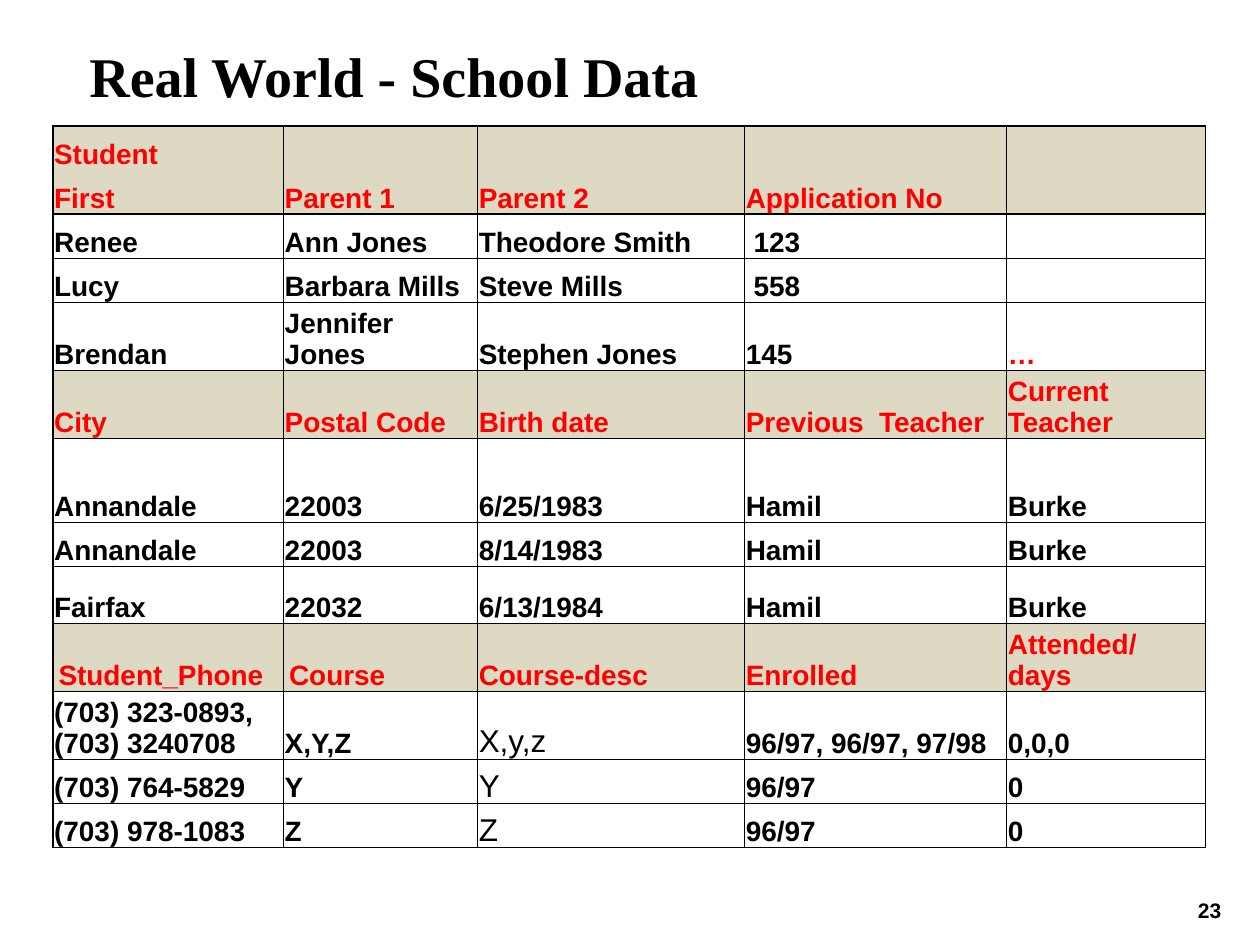
import pptx
import pptx.util
import pptx.dml.color
import pptx.enum.text
import pptx.oxml.ns
from lxml import etree

Inches, Pt = pptx.util.Inches, pptx.util.Pt
ANCHOR = pptx.enum.text.MSO_ANCHOR
BLACK, RED, TAN = "000000", "FF0000", "DDD9C3"

COL_WIDTHS = [1.83, 1.54, 2.12, 2.08, 1.58]
ROW_HEIGHTS = [0.35, 0.35, 0.35, 0.35, 0.54, 0.54, 0.67,
               0.35, 0.45, 0.54, 0.54, 0.35, 0.35]
HEADER_ROWS = {0, 1, 5, 9}
SCHOOL_DATA = [
    ["Student", "", "", "", ""],
    ["First", "Parent 1", "Parent 2", "Application No", ""],
    ["Renee", "Ann Jones", "Theodore Smith", " 123", ""],
    ["Lucy", "Barbara Mills", "Steve Mills", " 558", ""],
    ["Brendan", "Jennifer Jones", "Stephen Jones", "145", "…"],
    ["City", "Postal Code", "Birth date", "Previous  Teacher", "Current\nTeacher"],
    ["Annandale", "22003", "6/25/1983", "Hamil", "Burke"],
    ["Annandale", "22003", "8/14/1983", "Hamil", "Burke"],
    ["Fairfax", "22032", "6/13/1984", "Hamil", "Burke"],
    [" Student_Phone", " Course", "Course-desc", "Enrolled", "Attended/ days"],
    ["(703) 323-0893, (703) 3240708", "X,Y,Z", "X,y,z", "96/97, 96/97, 97/98", "0,0,0"],
    ["(703) 764-5829", "Y", "Y", "96/97", "0"],
    ["(703) 978-1083", "Z", "Z", "96/97", "0"],
]


def color(value):
    return pptx.dml.color.RGBColor.from_string(value)


def add_run(p, text, size, font="Arial", fill=BLACK, bold=True):
    r = p.add_run()
    r.text = text
    r.font.size, r.font.name, r.font.bold = Pt(size), font, bold
    r.font.color.rgb = color(fill)


def set_border(cell, side, width):
    """Draw one side of a cell; a width of 0 leaves it without a line."""
    qn = pptx.oxml.ns.qn
    ln = etree.SubElement(cell._tc.get_or_add_tcPr(), qn("a:ln" + side), w=str(Pt(width)))
    if width:
        solid = etree.SubElement(ln, qn("a:solidFill"))
        etree.SubElement(solid, qn("a:srgbClr"), val=BLACK)
    else:
        etree.SubElement(ln, qn("a:noFill"))


def add_title(s, left, top, width, height):
    sp = s.shapes.title
    sp.left, sp.top, sp.width, sp.height = map(Inches, (left, top, width, height))
    tf = sp.text_frame
    tf.margin_left = tf.margin_right = tf.margin_top = tf.margin_bottom = 0
    tf.vertical_anchor = ANCHOR.TOP
    p = tf.paragraphs[0]
    p.alignment = pptx.enum.text.PP_ALIGN.LEFT
    add_run(p, "Real World - School Data", 32, "Times New Roman")


def fill_cell(cell, text, row, col):
    cell.vertical_anchor = ANCHOR.BOTTOM
    cell.margin_left = cell.margin_right = cell.margin_top = Inches(0.01)
    cell.margin_bottom = 0

    # Borders: heavier on the outside, none inside the two-row heading
    set_border(cell, "L", 1 if col == 0 else 0.75)
    set_border(cell, "R", 1 if col == len(COL_WIDTHS) - 1 else 0.75)
    set_border(cell, "T", {0: 1, 1: 0, 2: 1}.get(row, 0.75))
    set_border(cell, "B", {0: 0, 1: 1}.get(row, 0.75))

    header = row in HEADER_ROWS
    if header:
        cell.fill.solid()
        cell.fill.fore_color.rgb = color(TAN)
    else:
        cell.fill.background()

    # Text: red headings, plain larger course descriptions
    tf = cell.text_frame
    plain = row > 9 and col == 2
    for i, line in enumerate(text.split("\n")):
        p = tf.add_paragraph() if i else tf.paragraphs[0]
        if line.startswith(" ") and header:
            add_run(p, " ", 11, "Calibri", bold=False)
            line = line[1:]
        if line:
            add_run(p, line, 18 if plain else 16, bold=not plain,
                    fill=RED if header or line == "…" else BLACK)
        else:
            p.font.size = Pt(16)


def add_school_table(s, left, top):
    frame = s.shapes.add_table(
        len(ROW_HEIGHTS), len(COL_WIDTHS), Inches(left), Inches(top),
        Inches(sum(COL_WIDTHS)), Inches(sum(ROW_HEIGHTS)))
    table = frame.table
    table.first_row = table.horz_banding = False
    for column, width in zip(table.columns, COL_WIDTHS):
        column.width = Inches(width)
    for row, height in zip(table.rows, ROW_HEIGHTS):
        row.height = Inches(height)
    for i, texts in enumerate(SCHOOL_DATA):
        for j, text in enumerate(texts):
            fill_cell(table.cell(i, j), text, i, j)


def add_page_number(s, left, top, width, height):
    tf = s.shapes.add_textbox(*map(Inches, (left, top, width, height))).text_frame
    tf.word_wrap = True
    p = tf.paragraphs[0]
    p.alignment = pptx.enum.text.PP_ALIGN.CENTER
    p.line_spacing = 0.9
    add_run(p, "23", 12)


def main():
    prs = pptx.Presentation()
    prs.slide_width, prs.slide_height = Inches(10), Inches(7.5)
    s = prs.slides.add_slide(prs.slide_layouts[5])
    add_title(s, 0.71, 0.33, 8.29, 1.03)
    add_school_table(s, 0.42, 1)
    add_page_number(s, 9.35, 7.1, 0.5, 0.28)
    prs.save("out.pptx")


if __name__ == "__main__":
    main()
